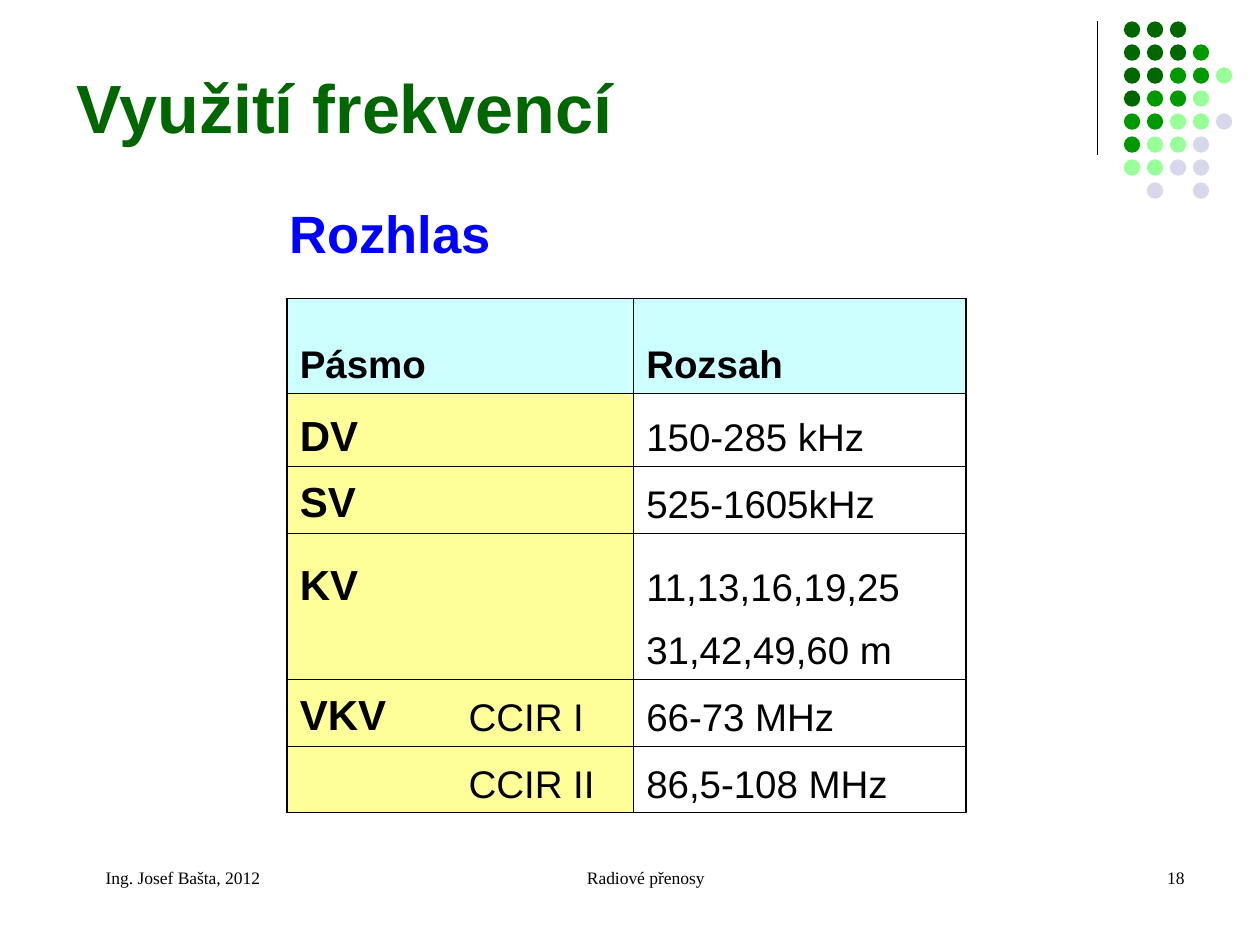
from dataclasses import dataclass
from typing import Any, Optional

import lxml.etree
import pptx
import pptx.dml.color
import pptx.enum.shapes
import pptx.enum.text
import pptx.oxml
import pptx.oxml.ns
import pptx.util

Inches = pptx.util.Inches
Pt = pptx.util.Pt
RGBColor = pptx.dml.color.RGBColor
Align = pptx.enum.text.PP_ALIGN
Anchor = pptx.enum.text.MSO_ANCHOR
qn = pptx.oxml.ns.qn

BLACK = RGBColor(0, 0, 0)
BLUE = RGBColor(0, 0, 0xFF)
DARK_GREEN = RGBColor(0, 0x66, 0)
GREEN = RGBColor(0, 0x99, 0)
LIGHT_GREEN = RGBColor(0x99, 0xFF, 0x99)
LAVENDER = RGBColor(0xD8, 0xD8, 0xEC)
CYAN = RGBColor(0xCC, 0xFF, 0xFF)
YELLOW = RGBColor(0xFF, 0xFF, 0x99)

DOT_COLORS = {"d": DARK_GREEN, "g": GREEN, "l": LIGHT_GREEN, "v": LAVENDER}
DOT_ROWS = ["ddd", "dddg", "ddggl", "dggl", "ggllv", "gllv", "llvv", " v v"]
DOT_PITCH = Inches(0.73) / 4

HEAD = {"name": "Arial", "size": Pt(22), "bold": True, "color": BLACK}
BAND = HEAD | {"size": Pt(24)}
RANGE = HEAD | {"bold": False}
FOOTER = {"name": "Times New Roman", "size": Pt(10), "bold": False, "color": BLACK}

COLUMN_WIDTHS = [1.34, 1.41, 2.64]
COLUMN_EDGES = [1.08, 0, 0.96, 1.08]
ROW_EDGES = [1.08, 0.45, 0.45, 0.45, 0, 0.45, 0.45, 1.08]


@dataclass
class Label:
    text: str
    left: float
    top: float
    width: float
    height: float
    font: dict[str, Any]
    align: Any = Align.LEFT
    anchor: Any = Anchor.TOP
    margin: float = 0


@dataclass
class BandRow:
    height: float
    band: str
    variant: Optional[str]
    extent: str


LABELS = [
    Label("Využití frekvencí", 0.51, 0.36, 8.25, 0.86,
          HEAD | {"size": Pt(39), "color": DARK_GREEN}, anchor=Anchor.BOTTOM),
    Label("Rozhlas", 2.2, 1.55, 2.84, 0.6, HEAD | {"size": Pt(30), "color": BLUE}),
    Label("Radiové přenosy", 3.42, 6.83, 3.17, 0.5, FOOTER, Align.CENTER, margin=0.24),
    Label("18", 7.17, 6.83, 2.33, 0.5, FOOTER, Align.RIGHT, margin=0.24),
    Label("Ing. Josef Bašta, 2012", 0.5, 6.83, 2.33, 0.5, FOOTER, margin=0.24),
]

BAND_ROWS = [
    BandRow(0.75, "Pásmo", None, "Rozsah"),
    BandRow(0.58, "DV", None, "150-285 kHz"),
    BandRow(0.53, "SV", None, "525-1605kHz"),
    BandRow(0.66, "KV", "", "11,13,16,19,25"),
    BandRow(0.5, "", "", "31,42,49,60 m"),
    BandRow(0.53, "VKV", "CCIR I", "66-73 MHz"),
    BandRow(0.53, "", "CCIR II", "86,5-108 MHz"),
]


def write_text(frame: Any, text: str, font: dict[str, Any]) -> Any:
    para = frame.paragraphs[0]
    span = para.add_run()
    span.text = text
    for key, value in font.items():
        if key == "color":
            span.font.color.rgb = value
        else:
            setattr(span.font, key, value)
    return para


def draw_label(page: Any, label: Label) -> None:
    box = page.shapes.add_textbox(Inches(label.left), Inches(label.top),
                                  Inches(label.width), Inches(label.height))
    frame = box.text_frame
    frame.word_wrap = True
    frame.vertical_anchor = label.anchor
    para = write_text(frame, label.text, label.font)
    para.alignment = label.align
    if label.margin:
        para._p.get_or_add_pPr().set("marL", str(Inches(label.margin)))


def draw_rule(page: Any) -> None:
    rule = page.shapes.add_connector(pptx.enum.shapes.MSO_CONNECTOR.STRAIGHT,
                                     Inches(8.71), Inches(0.17), Inches(8.71), Inches(1.23))
    rule.line.color.rgb = BLACK
    rule.line.width = Pt(0.75)
    lxml.etree.SubElement(rule._element.spPr, qn("a:effectLst"))


def draw_dots(page: Any) -> None:
    group = page.shapes.add_group_shape()
    size = Inches(0.13)
    for row, codes in enumerate(DOT_ROWS):
        for column, code in enumerate(codes):
            if code not in DOT_COLORS:
                continue
            dot = group.shapes.add_shape(pptx.enum.shapes.MSO_SHAPE.OVAL,
                                         int(Inches(8.92) + column * DOT_PITCH),
                                         int(Inches(0.17) + row * DOT_PITCH), size, size)
            dot.shadow.inherit = False
            dot.fill.solid()
            dot.fill.fore_color.rgb = DOT_COLORS[code]
            dot.line.fill.background()


def set_borders(cell: Any, widths: dict[str, float]) -> None:
    properties = cell._tc.get_or_add_tcPr()
    for side, width in widths.items():
        line = lxml.etree.SubElement(properties, qn(f"a:ln{side}"), w=str(Pt(width)))
        if width:
            paint = lxml.etree.SubElement(line, qn("a:solidFill"))
            lxml.etree.SubElement(paint, qn("a:srgbClr"), val=str(BLACK))
        else:
            lxml.etree.SubElement(line, qn("a:noFill"))


def fill_cell(cell: Any, text: str, font: dict[str, Any], color: Optional[RGBColor]) -> None:
    cell.vertical_anchor = Anchor.BOTTOM
    if color is None:
        cell.fill.background()
    else:
        cell.fill.solid()
        cell.fill.fore_color.rgb = color
    if text:
        write_text(cell.text_frame, text, font)


def draw_table(page: Any) -> None:
    frame = page.shapes.add_table(len(BAND_ROWS), len(COLUMN_WIDTHS), Inches(2.28),
                                  Inches(2.37), Inches(5.39), Inches(4.08))
    table = frame.table
    table.first_row = False
    table.horz_banding = False
    for column, width in zip(table.columns, COLUMN_WIDTHS):
        column.width = Inches(width)
    for index, row in enumerate(BAND_ROWS):
        table.rows[index].height = Inches(row.height)
        merged = row.variant is None
        if merged:
            table.cell(index, 0).merge(table.cell(index, 1))
        header = index == 0
        contents = [
            (row.band, HEAD if header else BAND, CYAN if header else YELLOW),
            (row.variant or "", RANGE, CYAN if header else YELLOW),
            (row.extent, HEAD if header else RANGE, CYAN if header else None),
        ]
        for place, (text, font, color) in enumerate(contents):
            cell = table.cell(index, place)
            right = 2 if merged and place == 0 else place + 1
            set_borders(cell, {"L": COLUMN_EDGES[place], "R": COLUMN_EDGES[right],
                               "T": ROW_EDGES[index], "B": ROW_EDGES[index + 1]})
            fill_cell(cell, text, font, color)


def main() -> None:
    deck = pptx.Presentation()
    deck.slide_width = Inches(10)
    deck.slide_height = Inches(7.5)
    page = deck.slides.add_slide(deck.slide_layouts[6])
    draw_rule(page)
    draw_dots(page)
    draw_table(page)
    for label in LABELS:
        draw_label(page, label)
    deck.save("out.pptx")


if __name__ == "__main__":
    main()
